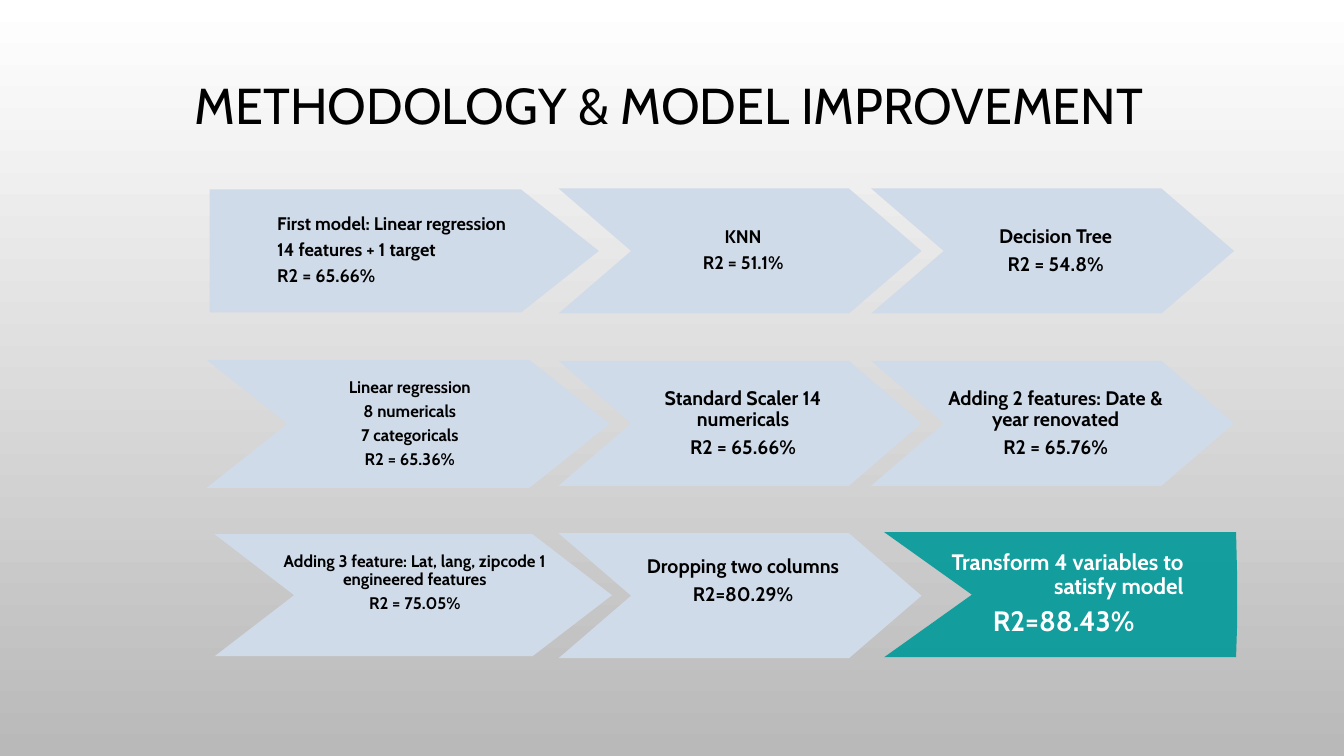
"""Build the methodology and model improvement slide."""
from dataclasses import dataclass

from lxml.etree import SubElement
from pptx import Presentation
from pptx.dml.color import RGBColor
from pptx.enum.text import MSO_ANCHOR, PP_ALIGN
from pptx.oxml.ns import qn
from pptx.util import Inches, Pt

FONT = "Cabin"
BLACK, WHITE, PALE, TEAL = "000000", "FFFFFF", "D0DBE9", "009999"
LEFT, CENTER, RIGHT = PP_ALIGN.LEFT, PP_ALIGN.CENTER, PP_ALIGN.RIGHT
WIDE_INSETS = (0.67, 0.01, 0.64, 0.01)
SLIM_INSETS = (0.59, 0.03, 0.53, 0.03)
SLIM_W, SLIM_H = 3.6, 1.24
COLUMN_X = (5.54, 8.64)
ROW_Y, ROW_STEP = 1.87, 1.71


@dataclass
class Line:
    text: str
    size: float
    align: PP_ALIGN = CENTER
    bold: bool = True
    color: str = BLACK


@dataclass
class Step:
    outline: list[tuple[float, float]]
    lines: list[Line]
    insets: tuple[float, float, float, float] = SLIM_INSETS
    fill: str = PALE
    alpha: int = 100
    lift: float = 0


def rgb(color: str) -> RGBColor:
    return RGBColor.from_string(color)


def arrow(x: float, y: float, w: float, h: float, notched: bool = True) -> list[tuple[float, float]]:
    tip = 0.2 * w
    points = [(x, y), (x + w - tip, y), (x + w, y + h / 2), (x + w - tip, y + h), (x, y + h)]
    return points + [(x + tip, y + h / 2)] if notched else points


def slim(row: int, col: int) -> list[tuple[float, float]]:
    return arrow(COLUMN_X[col], ROW_Y + row * ROW_STEP, SLIM_W, SLIM_H)


def lines(size: float, *texts: str, align: PP_ALIGN = CENTER) -> list[Line]:
    return [Line(text, size, align) for text in texts]


def write(tf, items: list[Line], insets: tuple[float, float, float, float]) -> None:
    sides = ("margin_left", "margin_top", "margin_right", "margin_bottom")
    frame = dict(zip(sides, map(Inches, insets)))
    frame.update(word_wrap=True, vertical_anchor=MSO_ANCHOR.MIDDLE)
    for name, value in frame.items():
        setattr(tf, name, value)
    for i, item in enumerate(items):
        p = tf.add_paragraph() if i else tf.paragraphs[0]
        layout = {"alignment": item.align, "line_spacing": 0.9,
                  "space_before": Pt(0), "space_after": Pt(0.35 * item.size)}
        for name, value in layout.items():
            setattr(p, name, value)
        r = p.add_run()
        r.text = item.text
        style = {"name": FONT, "size": Pt(item.size), "bold": item.bold}
        for name, value in style.items():
            setattr(r.font, name, value)
        r.font.color.rgb = rgb(item.color)


def draw_step(s, step: Step) -> None:
    points = [(Inches(x), Inches(y)) for x, y in step.outline]
    builder = s.shapes.build_freeform(*points[0])
    builder.add_line_segments(points[1:], close=True)
    sp = builder.convert_to_shape()
    sp.shadow.inherit = False
    sp.line.fill.background()
    sp.fill.solid()
    sp.fill.fore_color.rgb = rgb(step.fill)
    if step.alpha < 100:
        clr = sp.element.spPr.find(qn("a:solidFill")).find(qn("a:srgbClr"))
        SubElement(clr, qn("a:alpha")).set("val", str(step.alpha * 1000))
    left, top, right, bottom = step.insets
    write(sp.text_frame, step.lines, (left, top, right, bottom + step.lift))


STEPS = [
    Step(arrow(2.08, 1.88, 3.86, 1.22, notched=False),
         lines(13, "First model: Linear regression", "14 features + 1 target",
               "R2 = 65.66%", align=LEFT), WIDE_INSETS),
    Step(slim(0, 0), lines(13, "KNN", "R2 = 51.1%")),
    Step(slim(0, 1), lines(14, "Decision Tree", "R2 = 54.8%")),
    Step(arrow(2.05, 3.57, 4, 1.27),
         lines(12, "Linear regression", "8 numericals", "7 categoricals", "R2 = 65.36%"),
         WIDE_INSETS),
    Step(slim(1, 0), lines(14, "Standard Scaler 14 numericals", "R2 = 65.66%")),
    Step(slim(1, 1), lines(14, "Adding 2 features: Date & year renovated", "R2 = 65.76%")),
    Step(arrow(2.13, 5.3, 3.94, 1.21),
         lines(12, "Adding 3 feature: Lat, lang, zipcode 1 engineered features",
               "R2 = 75.05%"), WIDE_INSETS, lift=0.24),
    Step(slim(2, 0), lines(14, "Dropping two columns", "R2=80.29%"), lift=0.28),
    Step([(8.77, 5.28), (12.26, 5.28), (12.27, 5.7), (12.27, 6.2), (12.26, 6.52),
          (8.77, 6.52), (9.64, 5.9)],
         [Line("Transform 4 variables to satisfy model", 16, RIGHT, color=WHITE),
          Line("R2=88.43%", 20, color=WHITE)], fill=TEAL, alpha=90),
]


def main() -> None:
    prs = Presentation()
    prs.slide_width, prs.slide_height = Inches(13.33), Inches(7.5)
    s = prs.slides.add_slide(prs.slide_layouts[6])
    fill = s.background.fill
    fill.gradient()
    fill.gradient_angle = 270
    for stop, color in zip(fill.gradient_stops, (WHITE, "B9B9B9")):
        stop.color.rgb = rgb(color)
    title = s.shapes.add_textbox(Inches(0.97), Inches(0.2), Inches(11.33), Inches(1.75))
    write(title.text_frame, [Line("METHODOLOGY & MODEL IMPROVEMENT", 36, bold=False)],
          (0.1, 0.05, 0.1, 0.05))
    title.text_frame.paragraphs[0].space_after = Pt(0)
    for step in STEPS:
        draw_step(s, step)
    prs.save("out.pptx")


if __name__ == "__main__":
    main()
